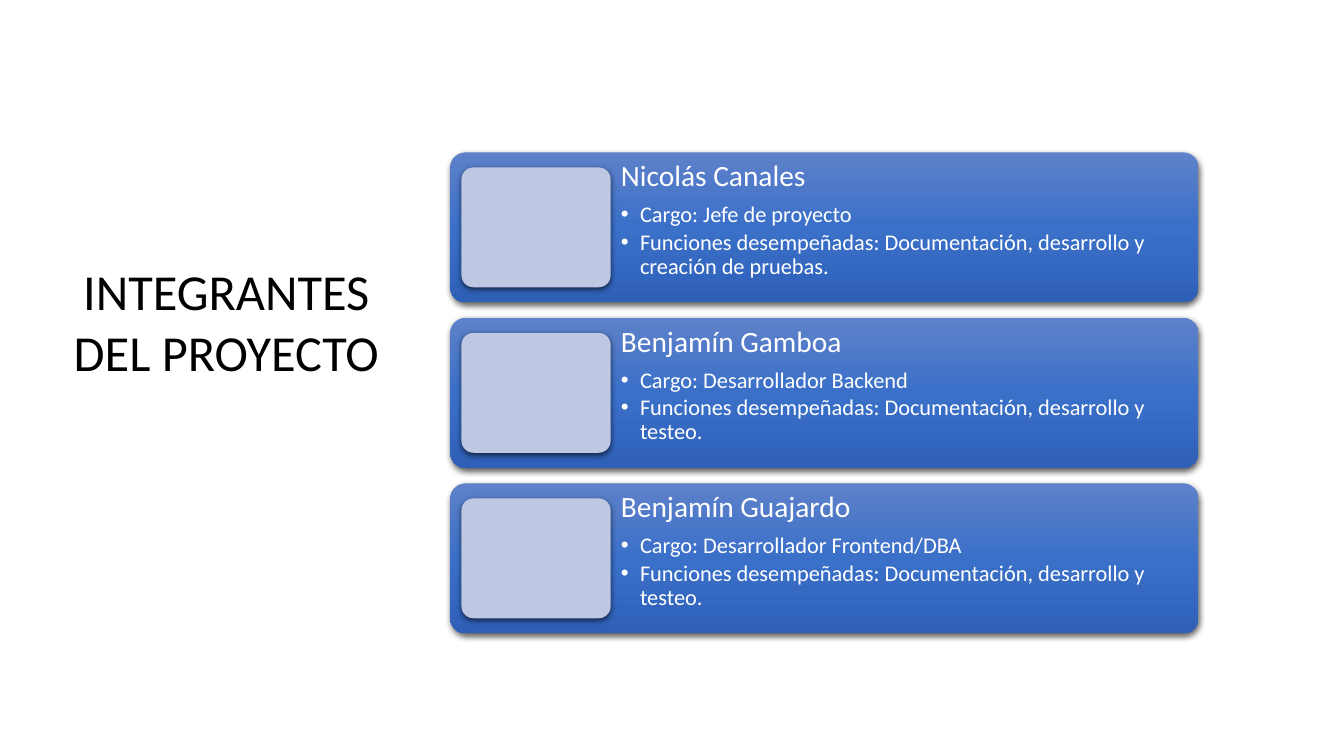
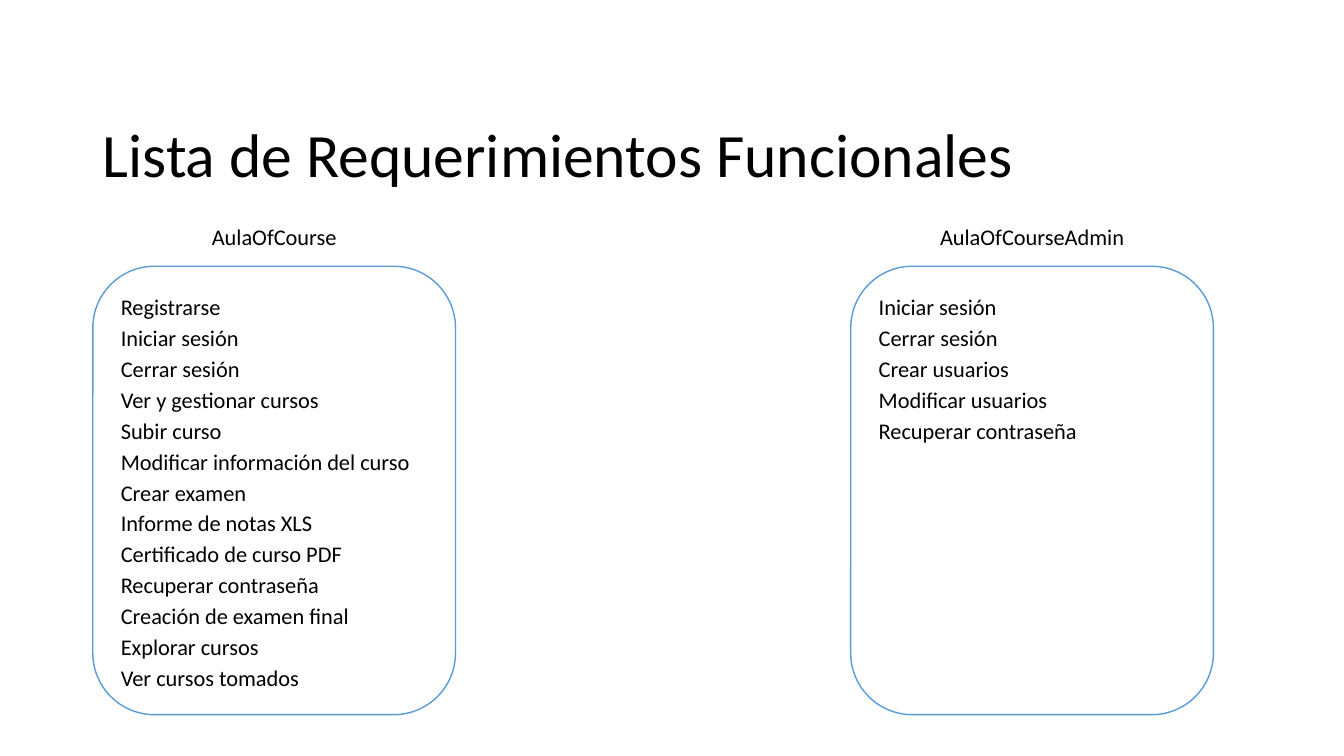
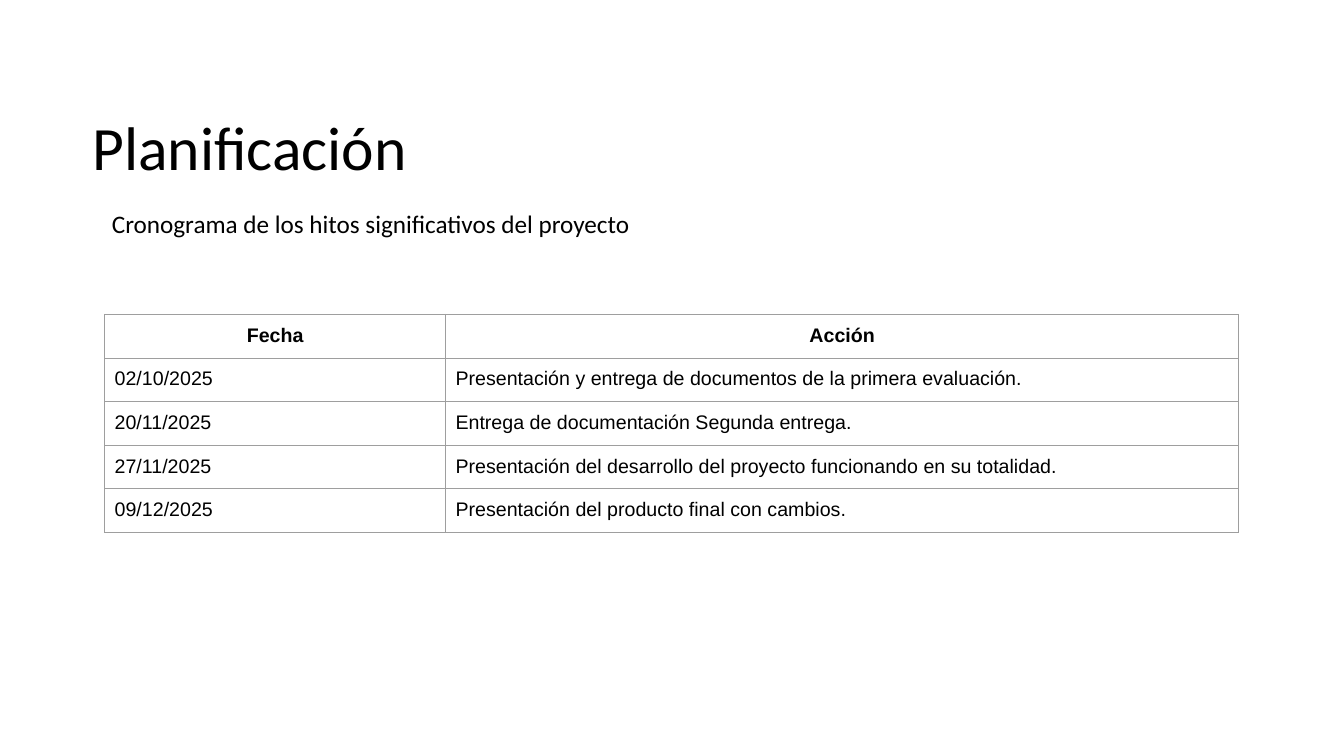
from dataclasses import dataclass
from typing import Any

from pptx import Presentation
from pptx import util as u
from pptx.dml.color import RGBColor
from pptx.enum import shapes, text
from pptx.oxml import ns, parse_xml

Cm, Pt = u.Cm, u.Pt
MID = text.MSO_ANCHOR.MIDDLE
TOP = text.MSO_ANCHOR.TOP


@dataclass(frozen=True)
class Theme:
    face: str = "Calibri"
    grid_face: str = "Arial"
    ink: str = "000000"
    paper: str = "FFFFFF"
    edge: str = "5B9BD5"
    rule: str = "9E9E9E"
    photo: str = "BFC8E3"
    fade: tuple[str, ...] = ("5E81C9", "3B70C9", "2E60B8")
    head: int = 44
    side: int = 36
    name: int = 21
    lead: int = 18
    body: int = 16
    cell: int = 14


T = Theme()


@dataclass(frozen=True)
class Box:
    x: float
    y: float
    w: float
    h: float

    def cm(self) -> tuple[u.Length, ...]:
        return Cm(self.x), Cm(self.y), Cm(self.w), Cm(self.h)


@dataclass(frozen=True)
class Line:
    text: str
    size: int = T.body
    ink: str = T.ink
    face: str = T.face
    bold: bool = False
    mid: bool = False
    lead: float = 1.0
    gap: float = 0
    dot: bool = False


@dataclass(frozen=True)
class Member:
    name: str
    role: str
    tasks: str


@dataclass(frozen=True)
class App:
    name: str
    x: float
    needs: tuple[str, ...]


TEAM = (
    Member("Nicolás Canales", "Jefe de proyecto", "Documentación, desarrollo y creación de pruebas."),
    Member("Benjamín Gamboa", "Desarrollador Backend", "Documentación, desarrollo y testeo."),
    Member("Benjamín Guajardo", "Desarrollador Frontend/DBA", "Documentación, desarrollo y testeo."),
)

APPS = (
    App("AulaOfCourse", 2.34, (
        "Registrarse", "Iniciar sesión", "Cerrar sesión", "Ver y gestionar cursos",
        "Subir curso", "Modificar información del curso", "Crear examen",
        "Informe de notas XLS", "Certificado de curso PDF", "Recuperar contraseña",
        "Creación de examen final", "Explorar cursos", "Ver cursos tomados",
    )),
    App("AulaOfCourseAdmin", 21.44, (
        "Iniciar sesión", "Cerrar sesión", "Crear usuarios", "Modificar usuarios",
        "Recuperar contraseña",
    )),
)

PLAN = (
    ("Fecha", "Acción"),
    ("02/10/2025", "Presentación y entrega de documentos de la primera evaluación."),
    ("20/11/2025", "Entrega de documentación Segunda entrega."),
    ("27/11/2025", "Presentación del desarrollo del proyecto funcionando en su totalidad."),
    ("09/12/2025", "Presentación del producto final con cambios."),
)


def node(xml: str) -> Any:
    tag, rest = xml[1:].split(" ", 1)
    return parse_xml(f"<{tag} {ns.nsdecls('a')} {rest}")


def write(frame: Any, lines: list[Line]) -> None:
    for i, line in enumerate(lines):
        para = frame.add_paragraph() if i else frame.paragraphs[0]
        para.text = line.text
        if line.dot:
            props = para._p.get_or_add_pPr()
            props.set("marL", str(Cm(0.48)))
            props.set("indent", str(-Cm(0.48)))
            props.append(node(f'<a:buClr ><a:srgbClr val="{line.ink}"/></a:buClr>'))
            props.append(node('<a:buFont typeface="Arial"/>'))
            props.append(node('<a:buChar char="•"/>'))
        para.alignment = text.PP_ALIGN.CENTER if line.mid else text.PP_ALIGN.LEFT
        para.line_spacing = line.lead
        para.space_before = Pt(line.gap)
        font = para.font
        font.name, font.size, font.bold = line.face, Pt(line.size), line.bold
        font.color.rgb = RGBColor.from_string(line.ink)


def fit(frame: Any, side: float, top: float, anchor: Any) -> None:
    frame.word_wrap = True
    frame.vertical_anchor = anchor
    frame.margin_left = frame.margin_right = Cm(side)
    frame.margin_top = frame.margin_bottom = Cm(top)


def label(slide: Any, box: Box, lines: list[Line], side: float = 0.25,
          top: float = 0.13, anchor: Any = TOP) -> None:
    frame = slide.shapes.add_textbox(*box.cm()).text_frame
    fit(frame, side, top, anchor)
    write(frame, lines)


def title(slide: Any, box: Box, words: str) -> None:
    label(slide, box, [Line(words, T.head, lead=0.9)], anchor=MID)


def panel(slide: Any, box: Box, curve: float, fill: str = "") -> Any:
    shape = slide.shapes.add_shape(shapes.MSO_SHAPE.ROUNDED_RECTANGLE, *box.cm())
    shape.adjustments[0] = curve
    shape.shadow.inherit = False
    shape.line.fill.background()
    if fill:
        shape.fill.solid()
        shape.fill.fore_color.rgb = RGBColor.from_string(fill)
    else:
        stops = "".join(
            f'<a:gs pos="{i * 50000}"><a:srgbClr val="{tone}"/></a:gs>'
            for i, tone in enumerate(T.fade)
        )
        shape._element.spPr.insert(2, node(
            f'<a:gradFill rotWithShape="1"><a:gsLst>{stops}</a:gsLst>'
            '<a:lin ang="5400000" scaled="0"/></a:gradFill>'
        ))
    return shape


def shade(shape: Any) -> None:
    shape._element.spPr.find(ns.qn("a:effectLst")).append(node(
        f'<a:outerShdw blurRad="{Pt(4.5)}" dist="{Pt(1.5)}" dir="5400000" '
        'algn="ctr" rotWithShape="0"><a:srgbClr val="000000">'
        '<a:alpha val="63000"/></a:srgbClr></a:outerShdw>'
    ))


def card(slide: Any, who: Member, y: float) -> None:
    shade(panel(slide, Box(11.35, y, 18.85, 3.78), 0.1))
    label(slide, Box(15.42, y, 14.78, 3.78), [
        Line(who.name, T.name, T.paper, lead=0.9),
        Line(f"Cargo: {who.role}", ink=T.paper, lead=0.9, gap=7.3, dot=True),
        Line(f"Funciones desempeñadas: {who.tasks}", ink=T.paper, lead=0.9, gap=2.4, dot=True),
    ], 0.23, 0.23)
    shade(panel(slide, Box(11.63, y + 0.38, 3.76, 3.02), 0.1, T.photo))


def team(slide: Any) -> None:
    label(slide, Box(1.55, 6.43, 8.31, 3.33),
          [Line("INTEGRANTES DEL PROYECTO", T.side, mid=True)])
    for i, who in enumerate(TEAM):
        card(slide, who, 3.84 + i * 4.17)


def needs(slide: Any) -> None:
    title(slide, Box(2.34, 2.92, 29.21, 2.08), "Lista de Requerimientos Funcionales")
    for app in APPS:
        shape = panel(slide, Box(app.x, 6.71, 9.14, 11.3), 0.17, T.paper)
        shape.line.color.rgb = RGBColor.from_string(T.edge)
        shape.line.width = Pt(1)
        fit(shape.text_frame, 0.25, 0.13, TOP)
        write(shape.text_frame, [Line(need, lead=1.15) for need in app.needs])
        label(slide, Box(app.x + 0.4, 5.26, 8.34, 1.19),
              [Line(app.name, mid=True, lead=1.15)], 0.25, 0.25)


def frame_cell(cell: Any) -> None:
    cell.fill.background()
    props = cell._tc.get_or_add_tcPr()
    for i, side in enumerate("LRTB"):
        props.insert(i, node(
            f'<a:ln{side} w="{Pt(0.75)}"><a:solidFill><a:srgbClr val="{T.rule}"/>'
            f'</a:solidFill></a:ln{side}>'
        ))


def plan(slide: Any) -> None:
    title(slide, Box(2.08, 1.96, 29.21, 3.68), "Planificación")
    label(slide, Box(2.57, 5.13, 13.87, 1.02),
          [Line("Cronograma de los hitos significativos del proyecto", T.lead)])
    wide, high = (8.59, 19.99), 1.1
    box = Box(2.64, 7.92, sum(wide), high * len(PLAN))
    grid = slide.shapes.add_table(len(PLAN), len(wide), *box.cm()).table
    grid.first_row = grid.horz_banding = False
    for col, width in zip(grid.columns, wide):
        col.width = Cm(width)
    for r, row in enumerate(PLAN):
        grid.rows[r].height = Cm(high)
        for c, words in enumerate(row):
            cell = grid.cell(r, c)
            cell.margin_left = cell.margin_right = Cm(0.25)
            cell.margin_top = cell.margin_bottom = Cm(0.25)
            frame_cell(cell)
            write(cell.text_frame,
                  [Line(words, T.cell, face=T.grid_face, bold=r == 0, mid=r == 0)])


def main() -> None:
    deck = Presentation()
    deck.slide_width, deck.slide_height = Cm(33.87), Cm(19.05)
    for draw in (team, needs, plan):
        draw(deck.slides.add_slide(deck.slide_layouts[6]))
    deck.save("out.pptx")


if __name__ == "__main__":
    main()
